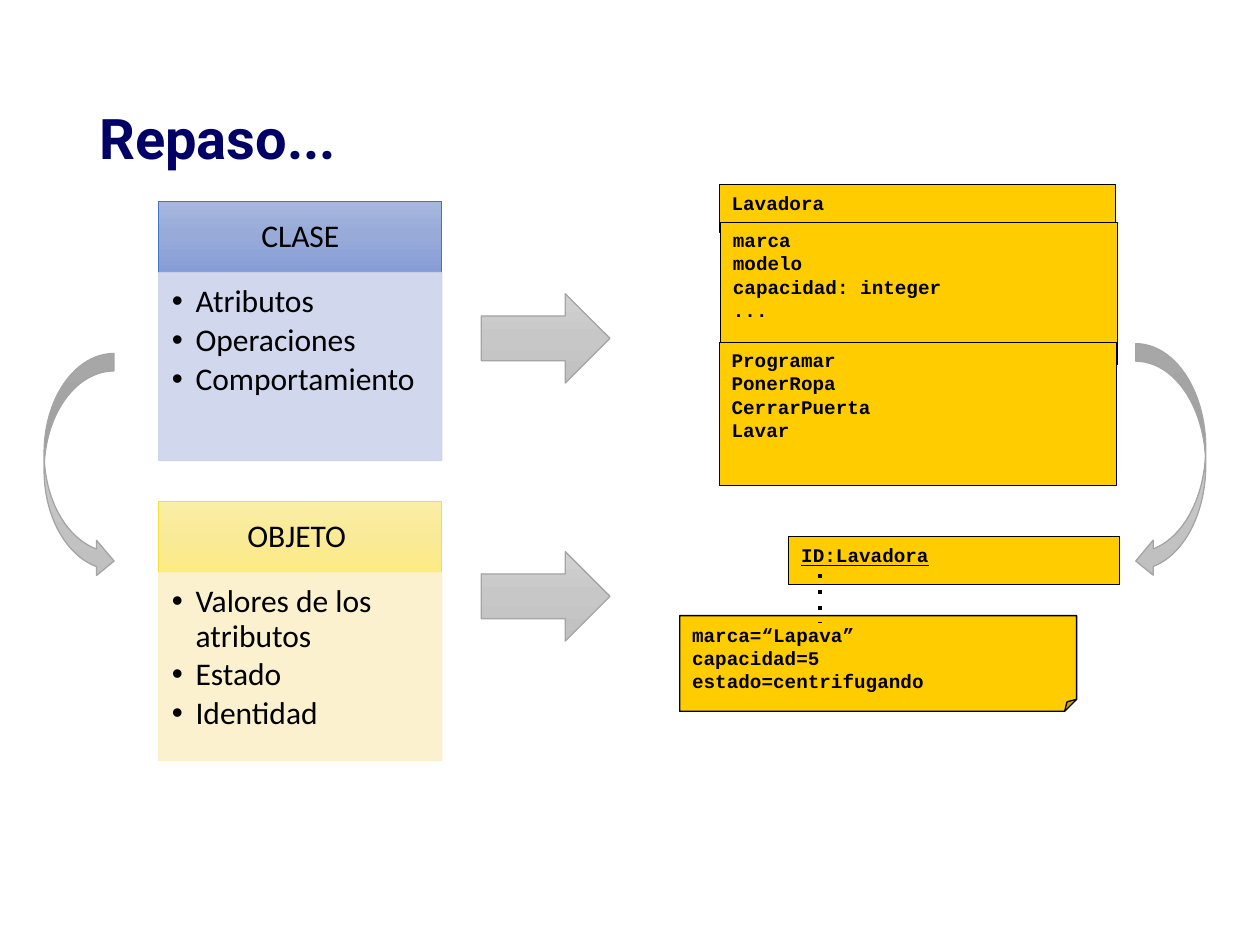
from copy import deepcopy

from lxml.etree import SubElement
from pptx import Presentation
from pptx.dml.color import RGBColor
from pptx.enum.shapes import MSO_CONNECTOR, MSO_SHAPE
from pptx.enum.text import MSO_ANCHOR, PP_ALIGN
from pptx.oxml.ns import qn
from pptx.util import Pt

BLACK = RGBColor(0, 0, 0)
NAVY = RGBColor(0x00, 0x00, 0x66)
AMBER = RGBColor(0xFF, 0xCC, 0x00)
GRAY_LINE = RGBColor(0xA5, 0xA5, 0xA5)
GRAYS = [RGBColor(0xD1, 0xD1, 0xD1), RGBColor(0xC7, 0xC7, 0xC7), RGBColor(0xC0, 0xC0, 0xC0)]
BLUES = [RGBColor(0xA6, 0xB6, 0xDE), RGBColor(0x97, 0xAA, 0xD8), RGBColor(0x85, 0x9C, 0xD6)]
BLUE_LINE = RGBColor(0x43, 0x72, 0xC3)
PALE_BLUE = RGBColor(0xCC, 0xD3, 0xEA)
YELLOWS = [RGBColor(0xFB, 0xEE, 0xA6), RGBColor(0xF9, 0xEA, 0x97), RGBColor(0xFD, 0xEB, 0x83)]
YELLOW_LINE = RGBColor(0xF5, 0xDF, 0x3C)
PALE_YELLOW = RGBColor(0xFB, 0xF0, 0xC9)

# Content
TITLE = "Repaso..."
CONCEPTS = [
    ("CLASE", ["Atributos", "Operaciones", "Comportamiento"], BLUES, BLUE_LINE, PALE_BLUE),
    ("OBJETO ", ["Valores de los atributos", "Estado", "Identidad"],
     YELLOWS, YELLOW_LINE, PALE_YELLOW),
]
UML_BOXES = [  # lines, (left, top, width, height), preset, underlined
    (["Lavadora"], (411, 105.5, 226.6, 27.2), MSO_SHAPE.RECTANGLE, False),
    (["marca", "modelo", "capacidad: integer", "..."],
     (411.7, 127.1, 226.8, 81.4), MSO_SHAPE.RECTANGLE, False),
    (["Programar", "PonerRopa", "CerrarPuerta", "Lavar"],
     (411, 195.7, 227, 81.7), MSO_SHAPE.RECTANGLE, False),
    (["ID:Lavadora"], (450.8, 306.8, 189, 27.2), MSO_SHAPE.RECTANGLE, True),
    (["marca=“Lapava”", "capacidad=5", "estado=centrifugando"],
     (388.4, 351.8, 226.8, 54.7), MSO_SHAPE.FOLDED_CORNER, False),
]
ARROWS = [
    (MSO_SHAPE.CURVED_RIGHT_ARROW, (25.2, 202, 40, 128.6)),
    (MSO_SHAPE.RIGHT_ARROW, (275, 167.8, 73.6, 51.1)),
    (MSO_SHAPE.RIGHT_ARROW, (275, 315.2, 73.6, 51.1)),
    (MSO_SHAPE.CURVED_LEFT_ARROW, (649, 196.4, 40, 134.2)),
]

# Concept column
COLUMN_LEFT, COLUMN_TOP, COLUMN_WIDTH = 90.8, 115.2, 161.7
HEADER_HEIGHT, LIST_HEIGHT, CONCEPT_STEP = 40.5, 107.4, 171.5
BULLET_INDENT = 13.5

presentation = Presentation()
presentation.slide_width, presentation.slide_height = Pt(720), Pt(540)
slide = presentation.slides.add_slide(presentation.slide_layouts[6])


def add_outline(preset, frame, line_color):
    shape = slide.shapes.add_shape(preset, *map(Pt, frame))
    shape.shadow.inherit = False
    shape.line.color.rgb = line_color
    shape.line.width = Pt(0.75)
    return shape


def fill_solid(shape, color):
    shape.fill.solid()
    shape.fill.fore_color.rgb = color


def fill_gradient(shape, colors):
    """Three evenly spaced stops, from top to bottom."""
    shape.fill.gradient()
    shape.fill.gradient_angle = 270
    first_stop = shape._element.spPr.find(".//" + qn("a:gs"))
    first_stop.addnext(deepcopy(first_stop))
    for index, (stop, color) in enumerate(zip(shape.fill.gradient_stops, colors)):
        stop.color.rgb = color
        stop.position = index / 2


def write(shape, lines, font, size, color=BLACK, bold=False, underline=False,
          insets=(7.2, 3.6, 7.2, 3.6), anchor=MSO_ANCHOR.TOP, align=PP_ALIGN.LEFT,
          spacing=None, gap=0, bulleted=False):
    frame = shape.text_frame
    frame.word_wrap = True
    frame.vertical_anchor = anchor
    (frame.margin_left, frame.margin_top,
     frame.margin_right, frame.margin_bottom) = map(Pt, insets)
    for index, line in enumerate(lines):
        paragraph = frame.paragraphs[0] if index == 0 else frame.add_paragraph()
        paragraph.text = line
        paragraph.alignment = align
        if spacing:
            paragraph.line_spacing = spacing
        if index and gap:
            paragraph.space_before = Pt(gap)
        if bulleted:
            properties = paragraph._p.get_or_add_pPr()
            properties.set("marL", str(Pt(BULLET_INDENT)))
            properties.set("indent", str(-Pt(BULLET_INDENT)))
            SubElement(properties, qn("a:buFont"), typeface="Arial")
            SubElement(properties, qn("a:buChar"), char="•")
        paragraph.font.name = font
        paragraph.font.size = Pt(size)
        paragraph.font.bold = bold
        paragraph.font.underline = underline
        paragraph.font.color.rgb = color


# Title
title = slide.shapes.add_textbox(Pt(49.7), Pt(28.8), Pt(620.6), Pt(104.4))
write(title, [TITLE], "Roboto", 32, NAVY, bold=True, insets=(7.2,) * 4,
      anchor=MSO_ANCHOR.MIDDLE, spacing=0.9)

# Concepts: header above a bulleted list
for row, (name, features, shades, edge, pale) in enumerate(CONCEPTS):
    top = COLUMN_TOP + row * CONCEPT_STEP
    header = add_outline(MSO_SHAPE.RECTANGLE,
                         (COLUMN_LEFT, top, COLUMN_WIDTH, HEADER_HEIGHT), edge)
    fill_gradient(header, shades)
    write(header, [name], "Calibri", 18, insets=(10, 5.7, 10, 5.7),
          anchor=MSO_ANCHOR.MIDDLE, align=PP_ALIGN.CENTER, spacing=0.9)

    feature_list = add_outline(
        MSO_SHAPE.RECTANGLE,
        (COLUMN_LEFT, top + HEADER_HEIGHT, COLUMN_WIDTH, LIST_HEIGHT), pale)
    fill_solid(feature_list, pale)
    for color in feature_list._element.spPr.iter(qn("a:srgbClr")):
        SubElement(color, qn("a:alpha"), val="89000")
    write(feature_list, features, "Calibri", 18, insets=(7.5, 7.5, 10, 11.3),
          spacing=0.9, gap=2.7, bulleted=True)

# UML class and its object
for lines, frame, preset, underlined in UML_BOXES:
    uml_box = add_outline(preset, frame, BLACK)
    fill_solid(uml_box, AMBER)
    is_note = preset == MSO_SHAPE.FOLDED_CORNER
    if is_note:  # size of the folded corner
        guides = uml_box._element.spPr.find(".//" + qn("a:avLst"))
        SubElement(guides, qn("a:gd"), name="adj", fmla="val 12500")
    write(uml_box, lines, "Courier New", 11, bold=True, underline=underlined,
          anchor=MSO_ANCHOR.MIDDLE if is_note else MSO_ANCHOR.TOP)

# Dotted link from the object to its note
note_link = slide.shapes.add_connector(
    MSO_CONNECTOR.STRAIGHT, Pt(468.7), Pt(328.3), Pt(468.7), Pt(355.7))
note_link.line.color.rgb = BLACK
note_link.line.width = Pt(2.25)
SubElement(note_link.line._get_or_add_ln(), qn("a:prstDash"), val="dot")
SubElement(note_link._element.spPr, qn("a:effectLst"))

# Arrows
for preset, frame in ARROWS:
    fill_gradient(add_outline(preset, frame, GRAY_LINE), GRAYS)

presentation.save("out.pptx")
